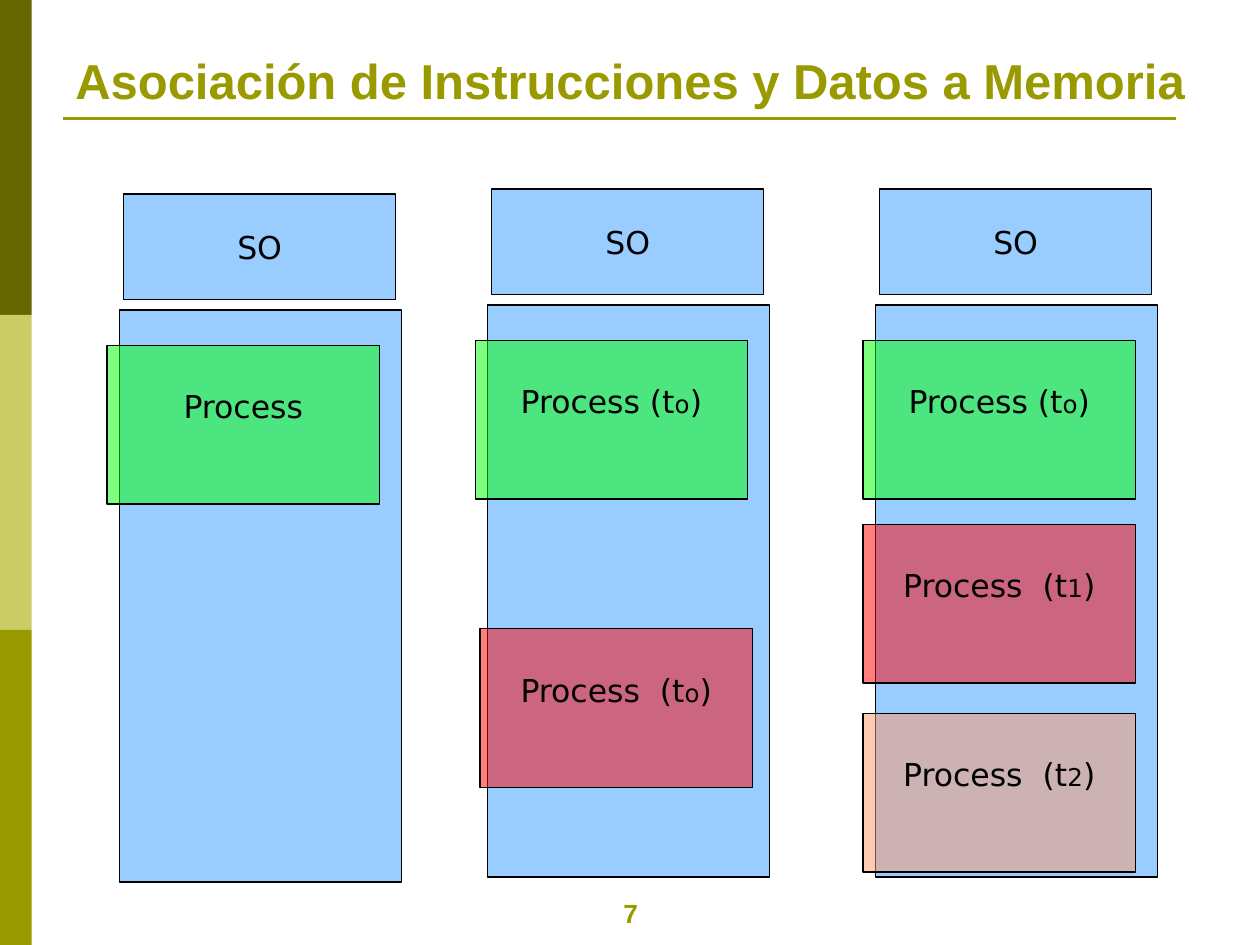
from dataclasses import dataclass

from lxml import etree
from pptx import Presentation
from pptx.dml.color import RGBColor
from pptx.enum.shapes import MSO_CONNECTOR, MSO_SHAPE
from pptx.enum.text import MSO_ANCHOR, PP_ALIGN
from pptx.oxml.ns import qn
from pptx.util import Cm, Pt

RECT = MSO_SHAPE.RECTANGLE
STRAIGHT = MSO_CONNECTOR.STRAIGHT
LEFT, CENTER = PP_ALIGN.LEFT, PP_ALIGN.CENTER
TOP, MIDDLE, BOTTOM = MSO_ANCHOR.TOP, MSO_ANCHOR.MIDDLE, MSO_ANCHOR.BOTTOM


@dataclass(frozen=True)
class Theme:
    olive: str = "999900"
    side_bands: tuple = ("666600", "CCCC66", "999900")
    memory: str = "99CCFF"
    green: str = "00FF00"
    red: str = "FF0000"
    orange: str = "FF9966"
    ink: str = "000000"
    heading_font: str = "Arial"
    label_font: str = "DejaVu Sans"
    title_size: int = 28
    label_size: int = 18
    index_size: int = 14
    number_size: int = 15


T = Theme()

# Content: memory columns as (left, top, processes);
# each process is (x offset, y offset, colour, label, time index)
TITLE = "Asociación de Instrucciones y Datos a Memoria"
SYSTEM = "SO"
PAGE = "7"
COLUMNS = [
    (2.41, 3.91, [(-0.25, 3.05, T.green, "Process", None)]),
    (9.83, 3.81, [(-0.25, 3.05, T.green, "Process (t", "o"),
                  (-0.15, 8.86, T.red, "Process  (t", "o")]),
    (17.65, 3.81, [(-0.25, 3.05, T.green, "Process (t", "o"),
                   (-0.25, 6.76, T.red, "Process  (t", "1"),
                   (-0.25, 10.57, T.orange, "Process  (t", "2")]),
]

# Measures in cm
SLIDE_W, SLIDE_H = 25.4, 19.05
BAND_W, BAND_H = 0.64, SLIDE_H / len(T.side_bands)
MEMORY_W, MEMORY_H, MEMORY_DY = 5.69, 11.53, 2.34
BLOCK_W, SYSTEM_H, PROCESS_H = 5.49, 2.13, 3.2
SYSTEM_DX = 0.08
LABEL_LIFT = 0.74  # one text line, keeps process labels above the middle


def rgb(value):
    return RGBColor.from_string(value)


def add_box(s, x, y, w, h, color, outlined=True, alpha=None):
    sp = s.shapes.add_shape(RECT, Cm(x), Cm(y), Cm(w), Cm(h))
    sp.shadow.inherit = False
    sp.fill.solid()
    sp.fill.fore_color.rgb = rgb(color)
    if alpha is not None:
        clr = sp.fill._xPr.find(qn("a:solidFill"))[0]
        etree.SubElement(clr, qn("a:alpha"), val=str(alpha * 1000))
    if outlined:
        sp.line.color.rgb = rgb(T.ink)
        sp.line.width = Pt(0)
    else:
        sp.line.fill.background()
    return sp


def set_text(sp, runs, font, size, color, bold=False, align=CENTER,
             anchor=MIDDLE, lift=0, wrap=True):
    """Write one paragraph from (text, size or None) runs."""
    tf = sp.text_frame
    tf.word_wrap = wrap
    tf.vertical_anchor = anchor
    tf.margin_left = tf.margin_right = Cm(0.25)
    tf.margin_top, tf.margin_bottom = Cm(0.13), Cm(0.13 + lift)
    p = tf.paragraphs[0]
    p.alignment = align
    p.font.name, p.font.size, p.font.bold = font, Pt(size), bold
    p.font.color.rgb = rgb(color)
    for text, run_size in runs:
        r = p.add_run()
        r.text = text
        if run_size:
            r.font.size = Pt(run_size)


def add_heading(s, x, y, w, h, text, size, **layout):
    sp = s.shapes.add_textbox(Cm(x), Cm(y), Cm(w), Cm(h))
    set_text(sp, [(text, None)], T.heading_font, size, T.olive, bold=True, **layout)


def add_label(sp, runs, lift=0):
    set_text(sp, runs, T.label_font, T.label_size, T.ink, lift=lift)


def add_column(s, x, y, processes):
    add_box(s, x, y + MEMORY_DY, MEMORY_W, MEMORY_H, T.memory)
    system = add_box(s, x + SYSTEM_DX, y, BLOCK_W, SYSTEM_H, T.memory)
    add_label(system, [(SYSTEM, None)])
    for dx, dy, color, label, index in processes:
        sp = add_box(s, x + dx, y + dy, BLOCK_W, PROCESS_H, color, alpha=50)
        runs = [(label, None)]
        if index:
            runs += [(index, T.index_size), (")", None)]
        add_label(sp, runs, LABEL_LIFT)


def main():
    prs = Presentation()
    prs.slide_width, prs.slide_height = Cm(SLIDE_W), Cm(SLIDE_H)
    s = prs.slides.add_slide(prs.slide_layouts[6])

    # Side bands
    for i, color in enumerate(T.side_bands):
        add_box(s, 0, i * BAND_H, BAND_W, BAND_H, color, outlined=False)

    # Title and its rule
    rule = s.shapes.add_connector(STRAIGHT, Cm(1.27), Cm(2.39), Cm(23.7), Cm(2.39))
    rule.line.color.rgb = rgb(T.olive)
    rule.line.width = Pt(1.5)
    etree.SubElement(rule._element.spPr, qn("a:effectLst"))
    add_heading(s, 1.27, 0.71, 23.5, 1.63, TITLE, T.title_size,
                align=LEFT, anchor=BOTTOM)

    # Memory columns
    for x, y, processes in COLUMNS:
        add_column(s, x, y, processes)

    # Page number
    add_heading(s, 11.18, 17.96, 3.07, 0.89, PAGE, T.number_size,
                anchor=TOP, wrap=False)

    prs.save("out.pptx")


if __name__ == "__main__":
    main()
